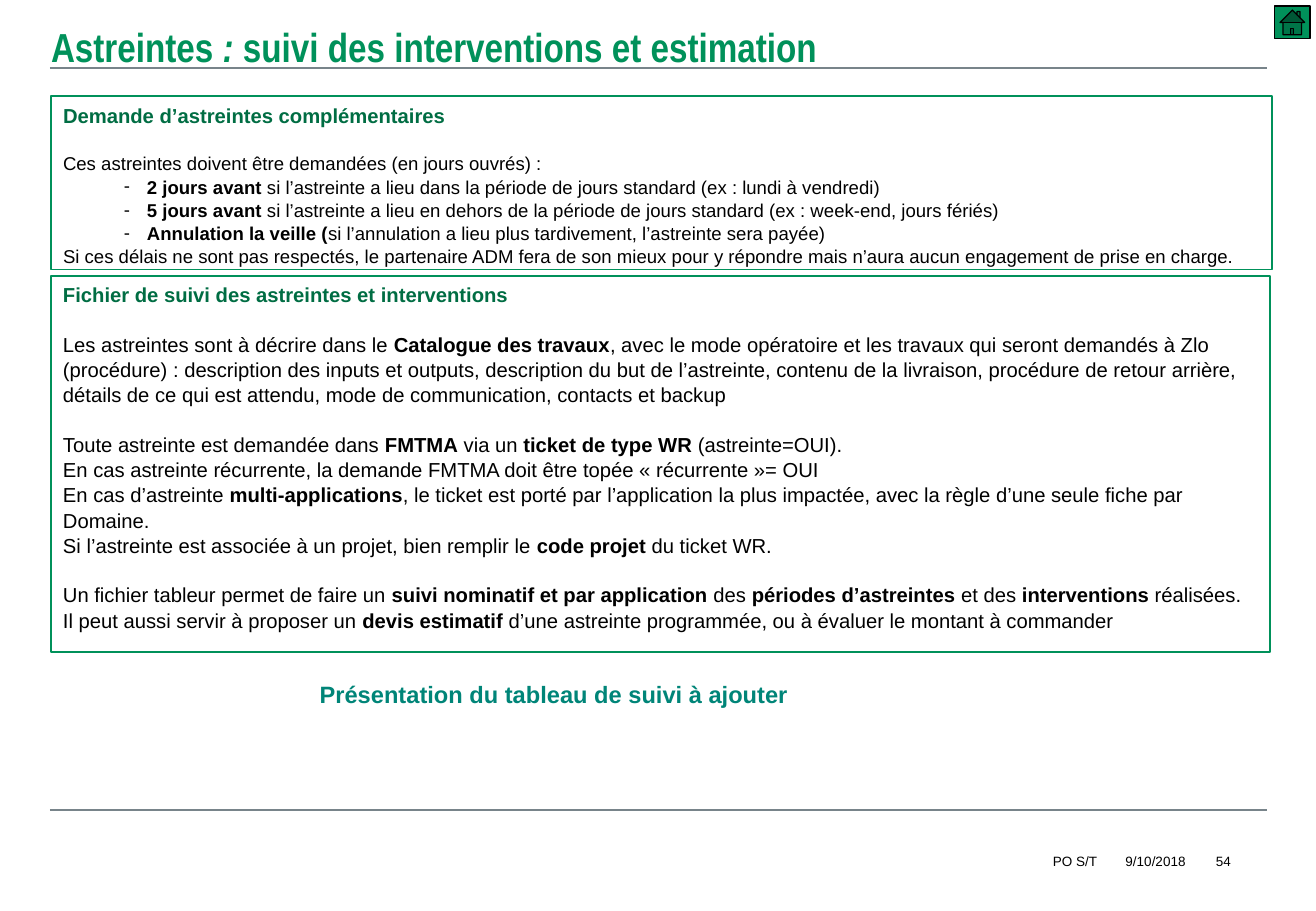
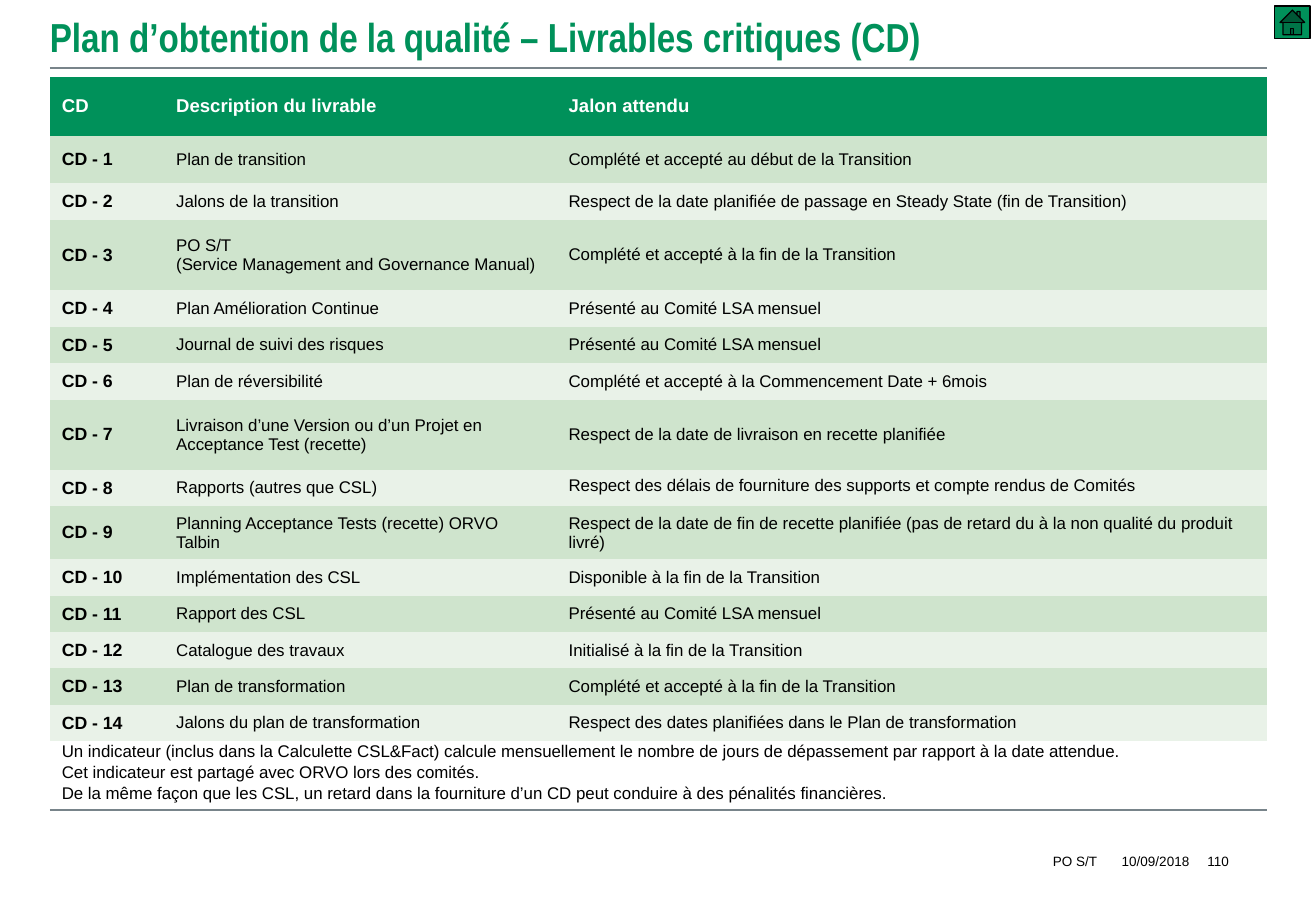
import pptx
import pptx.util
import pptx.dml.color
import pptx.enum.shapes
import pptx.enum.text
import pptx.oxml.ns
import lxml.etree

RGB = pptx.dml.color.RGBColor
Pt = pptx.util.Pt
SHAPE = pptx.enum.shapes.MSO_SHAPE
ALIGN = pptx.enum.text.PP_ALIGN
ANCHOR = pptx.enum.text.MSO_ANCHOR
qn = pptx.oxml.ns.qn

PX = 9144  # EMU per px, 100 px to the inch
GREEN = RGB(0x00, 0x91, 0x5A)
DARK_GREEN = RGB(0x00, 0x6D, 0x43)
TEAL = RGB(0x00, 0x85, 0x78)
GREY = RGB(0x78, 0x84, 0x8A)
BLACK = RGB(0x00, 0x00, 0x00)
WHITE = RGB(0xFF, 0xFF, 0xFF)
BANDS = RGB(0xCF, 0xE4, 0xCD), RGB(0xE9, 0xF2, 0xE8)
NO_STYLE = "{2D5ABB26-0587-4C30-8999-92F81FD0307C}"
LINE_SPACING = 1.04
BLANK_LINE = Pt(14.4)
LEFT, WIDTH = 41, 1002
RULES_Y = 56, 667

# Text between asterisks is emphasised; each inner list is a group set apart by a gap.
REQUEST_TITLE = "Demande d’astreintes complémentaires"
REQUEST = [[
    "Ces astreintes doivent être demandées (en jours ouvrés) :",
    "- *2 jours avant *si l’astreinte a lieu dans la période de jours standard (ex : lundi à vendredi)",
    "- *5 jours avant *si l’astreinte a lieu en dehors de la période de jours standard "
    "(ex : week-end, jours fériés)",
    "- *Annulation la veille (*si l’annulation a lieu plus tardivement, l’astreinte sera payée)",
    "Si ces délais ne sont pas respectés, le partenaire ADM fera de son mieux pour y répondre "
    "mais n’aura aucun engagement de prise en charge.",
]]
TRACKING_TITLE = "Fichier de suivi des astreintes et interventions"
TRACKING = [
    ["Les astreintes sont à décrire dans le *Catalogue des travaux*, avec le mode opératoire et les "
     "travaux qui seront demandés à Zlo (procédure) : description des inputs et outputs, description "
     "du but de l’astreinte, contenu de la livraison, procédure de retour arrière, détails de ce qui "
     "est attendu, mode de communication, contacts et backup"],
    ["Toute astreinte est demandée dans *FMTMA* via un *ticket de type WR *(astreinte=OUI).",
     "En cas astreinte récurrente, la demande FMTMA doit être topée « récurrente »= OUI",
     "En cas d’astreinte *multi-applications*, le ticket est porté par l’application la plus "
     "impactée, avec la règle d’une seule fiche par Domaine.",
     "Si l’astreinte est associée à un projet, bien remplir le *code projet *du ticket WR."],
    ["Un fichier tableur permet de faire un *suivi nominatif et par application *des "
     "*périodes d’astreintes *et des *interventions* réalisées.",
     "Il peut aussi servir à proposer un *devis estimatif *d’une astreinte programmée, "
     "ou à évaluer le montant à commander"],
]
TO_ADD = "*Présentation du tableau de suivi à ajouter*"

HEADER = "CD", "Description du livrable", "Jalon attendu"
COLUMNS = 94, 323, 585
HEADER_HEIGHT, ROW_HEIGHT = 49, 30
TALL_ROWS = {1: 39, 3: 58, 7: 58, 9: 42}
TOP_ANCHORED = (8, 2)
DELIVERABLES = [
    ("Plan de transition", "Complété et accepté au début de la Transition"),
    ("Jalons de la transition",
     "Respect de la date planifiée de passage en Steady State (fin de Transition)"),
    ("PO S/T\n(Service Management and Governance Manual)",
     "Complété et accepté à la fin de la Transition"),
    ("Plan Amélioration Continue", "Présenté au Comité LSA mensuel"),
    ("Journal de suivi des risques", "Présenté au Comité LSA mensuel"),
    ("Plan de réversibilité", "Complété et accepté à la Commencement Date + 6mois"),
    ("Livraison d’une Version ou d’un Projet en Acceptance Test (recette)",
     "Respect de la date de livraison en recette planifiée"),
    ("Rapports (autres que CSL)",
     "Respect des délais de fourniture des supports et compte rendus de Comités"),
    ("Planning Acceptance Tests (recette) ORVO Talbin",
     "Respect de la date de fin de recette planifiée (pas de retard du à la non qualité du produit livré)"),
    ("Implémentation des CSL", "Disponible à la fin de la Transition"),
    ("Rapport des CSL", "Présenté au Comité LSA mensuel"),
    ("Catalogue des travaux", "Initialisé à la fin de la Transition"),
    ("Plan de transformation", "Complété et accepté à la fin de la Transition"),
    ("Jalons du plan de transformation",
     "Respect des dates planifiées dans le Plan de transformation"),
]
NOTES = [
    "Un indicateur (inclus dans la Calculette CSL&Fact) calcule mensuellement le nombre de jours "
    "de dépassement par rapport à la date attendue.",
    "Cet indicateur est partagé avec ORVO lors des comités.",
    "De la même façon que les CSL, un retard dans la fourniture d’un CD peut conduire à des "
    "pénalités financières.",
]


def px(*lengths):
    return [length * PX for length in lengths]


def style(font, size, color, bold=False, name="Arial"):
    font.name, font.size, font.bold = name, Pt(size), bold
    font.color.rgb = color


def write(p, text, size, color, emphasis="bold", **font):
    """Fill a paragraph, emphasising what stands between asterisks."""
    for i, part in enumerate(text.split("*")):
        if part:
            r = p.add_run()
            r.text = part
            style(r.font, size, color, **font)
            if i % 2:
                setattr(r.font, emphasis, True)


def add_text(s, box, lines, size, color=BLACK, align=ALIGN.LEFT, anchor=ANCHOR.MIDDLE, inset=0, **font):
    tf = s.shapes.add_textbox(*px(*box)).text_frame
    tf.word_wrap, tf.vertical_anchor = True, anchor
    tf.margin_left = tf.margin_right = 2 * inset * PX
    tf.margin_top = tf.margin_bottom = inset * PX
    for i, line in enumerate(lines):
        p = tf.add_paragraph() if i else tf.paragraphs[0]
        p.alignment, p.line_spacing = align, LINE_SPACING
        write(p, line, size, color, **font)


def add_dash(p):
    pPr = p._p.get_or_add_pPr()
    pPr.set("marL", str(69 * PX))
    pPr.set("indent", str(-19 * PX))
    lxml.etree.SubElement(pPr, qn("a:buFont")).set("typeface", "Arial")
    lxml.etree.SubElement(pPr, qn("a:buChar")).set("char", "-")


def add_panel(s, box, heading, groups, size):
    """Outlined box with a green heading above groups of paragraphs."""
    sp = s.shapes.add_shape(SHAPE.RECTANGLE, *px(*box))
    sp.shadow.inherit = False
    sp.fill.background()
    sp.line.color.rgb, sp.line.width = GREEN, Pt(1)
    tf = sp.text_frame
    tf.word_wrap, tf.vertical_anchor = True, ANCHOR.TOP
    p = tf.paragraphs[0]
    p.alignment, p.line_spacing = ALIGN.LEFT, LINE_SPACING
    write(p, heading, 12, DARK_GREEN, bold=True)
    for group in groups:
        for i, line in enumerate(group):
            p = tf.add_paragraph()
            p.alignment, p.line_spacing = ALIGN.LEFT, LINE_SPACING
            p.space_before = Pt(0) if i else BLANK_LINE
            if line.startswith("- "):
                add_dash(p)
            write(p, line.removeprefix("- "), size, BLACK)


def add_slide(prs, title, title_box, date, number, number_align):
    """Slide with the shared rules, home button, title and footer."""
    s = prs.slides.add_slide(prs.slide_layouts[6])
    for y in RULES_Y:
        rule = s.shapes.add_connector(pptx.enum.shapes.MSO_CONNECTOR.STRAIGHT,
                                      *px(LEFT, y, LEFT + WIDTH, y))
        rule.line.color.rgb, rule.line.width = GREY, Pt(1)
        lxml.etree.SubElement(rule._element.spPr, qn("a:effectLst"))
    home = s.shapes.add_shape(SHAPE.ACTION_BUTTON_HOME, *px(1049, 5, 29, 27))
    home.shadow.inherit = False
    home.fill.solid()
    home.fill.fore_color.rgb = GREEN
    home.line.color.rgb, home.line.width = BLACK, Pt(0.75)
    add_text(s, title_box, [title], 24, GREEN, emphasis="italic", bold=True, name="Arial Narrow")
    for left, width, text, align in ((664, 239, "PO S/T", ALIGN.RIGHT),
                                     (909, 84, date, ALIGN.CENTER),
                                     (992, 21, number, number_align)):
        add_text(s, (left, 699, width, 20), [text], 8, align=align)
    return s


def add_deliverables(s):
    rows = [HEADER] + [(f"CD - {n}", *row) for n, row in enumerate(DELIVERABLES, 1)]
    heights = [HEADER_HEIGHT] + [TALL_ROWS.get(n, ROW_HEIGHT) for n in range(1, len(rows))]
    frame = s.shapes.add_table(len(rows), len(COLUMNS), *px(LEFT, 63, WIDTH, sum(heights)))
    frame._element.find(".//" + qn("a:tableStyleId")).text = NO_STYLE
    table = frame.table
    table.horz_banding = False
    for column, width in zip(table.columns, COLUMNS):
        column.width = width * PX
    for i, (row, height) in enumerate(zip(rows, heights)):
        table.rows[i].height = height * PX
        for j, text in enumerate(row):
            cell = table.cell(i, j)
            cell.vertical_anchor = ANCHOR.TOP if (i, j) == TOP_ANCHORED else ANCHOR.MIDDLE
            cell.fill.solid()
            cell.fill.fore_color.rgb = BANDS[(i - 1) % 2] if i else GREEN
            cell.text_frame.text = text
            size = 11 if i == 0 else 10.5 if j == 0 else 10
            for p in cell.text_frame.paragraphs:
                for r in p.runs:
                    style(r.font, size, BLACK if i else WHITE, bold=i == 0 or j == 0)


def main():
    prs = pptx.Presentation()
    prs.slide_width, prs.slide_height = px(1083, 750)

    s = add_slide(prs, "Astreintes *: *suivi des interventions et estimation",
                  (42, -4, 925, 82), "9/10/2018", "54", ALIGN.RIGHT)
    add_panel(s, (42, 227, 1003, 310), TRACKING_TITLE, TRACKING, 12)
    add_text(s, (263, 559, 455, 92), [TO_ADD], 14, TEAL, anchor=ANCHOR.TOP)
    add_panel(s, (42, 79, 1005, 143), REQUEST_TITLE, REQUEST, 11)

    s = add_slide(prs, "Plan d’obtention de la qualité – Livrables critiques (CD)",
                  (LEFT, 0, WIDTH, 58), "10/09/2018", "110", ALIGN.CENTER)
    add_deliverables(s)
    add_text(s, (LEFT, 604, WIDTH, 61), NOTES, 10, anchor=ANCHOR.TOP, inset=5)

    prs.save("out.pptx")


if __name__ == "__main__":
    main()
